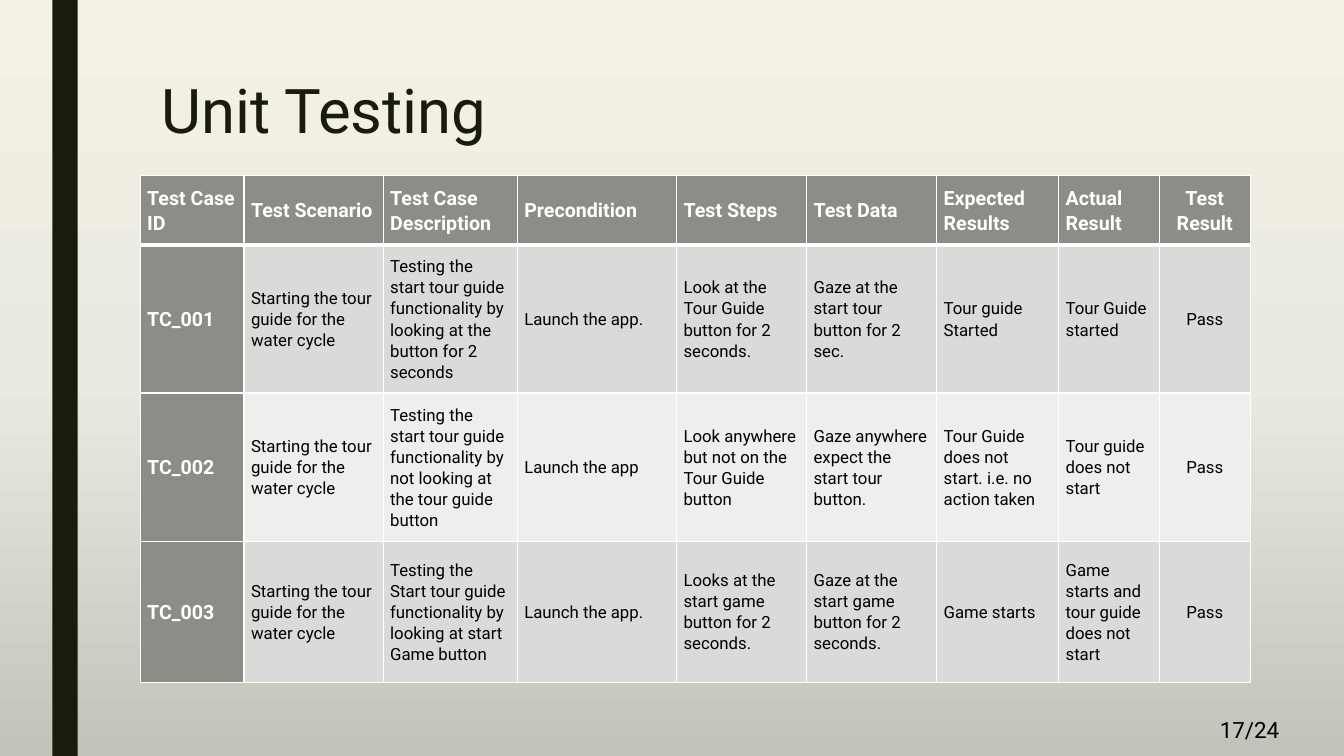
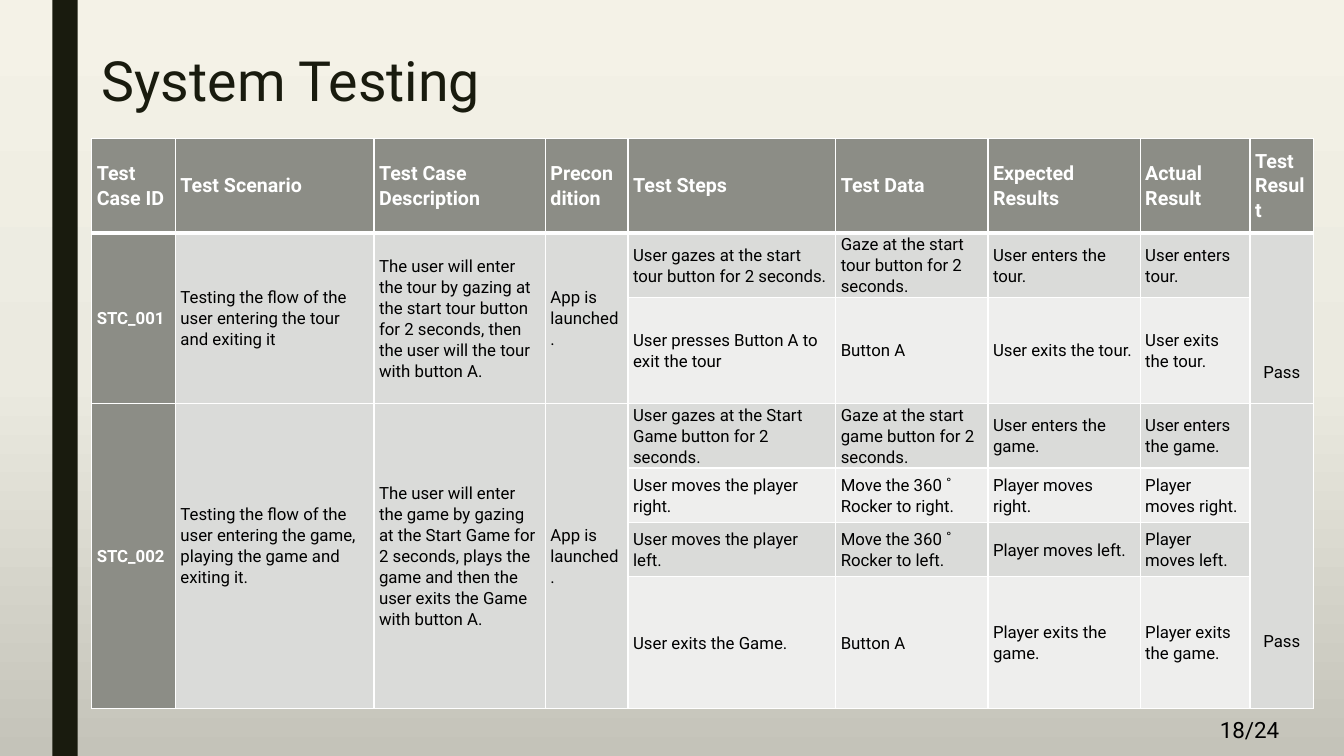
from dataclasses import dataclass

from lxml.etree import SubElement
from pptx import Presentation
from pptx.dml.color import RGBColor
from pptx.enum.shapes import MSO_SHAPE
from pptx.enum.text import MSO_ANCHOR, MSO_AUTO_SIZE, PP_ALIGN
from pptx.oxml.ns import qn
from pptx.presentation import Presentation as Deck
from pptx.slide import Slide
from pptx.table import Table, _Cell as Cell
from pptx.text.text import TextFrame
from pptx.util import Inches, Pt


@dataclass(frozen=True)
class Theme:
    """Colours, font and type sizes shared by the slides."""
    font: str = "Roboto"
    ink: str = "191B0E"
    black: str = "000000"
    white: str = "FFFFFF"
    head: str = "8C8D86"
    bands: tuple[str, str] = ("DADBD9", "EEEEED")
    backdrop: tuple[tuple[int, str], ...] = (
        (0, "F4F2E7"), (50, "EBEAE0"), (100, "C4C3B9"))
    head_size: float = 14
    body_size: float = 12
    page_size: float = 16
    title_spacing: float = 0.89
    cell_spacing: float = 1.07
    thin: float = 1
    thick: float = 3


THEME = Theme()
TITLE_ONLY = 5
RESULT_COLUMN = 8
FIRST_STEP_COLUMN = 4
HEADINGS = ("Test Case ID", "Test Scenario", "Test Case Description",
            "Precondition", "Test Steps", "Test Data", "Expected Results",
            "Actual Result", "Test\nResult")


@dataclass(frozen=True)
class TestCase:
    """One test case; each step holds action, data, expected and actual result."""
    name: str
    scenario: str
    description: str
    precondition: str
    steps: tuple[tuple[str, str, str, str], ...]
    scenario_lift: float = 0
    result_lift: float | None = None


@dataclass(frozen=True)
class TestSheet:
    """One slide: a title, a page number and a table of test cases."""
    title: str
    title_box: tuple[float, float, float, float]
    title_size: float
    page_number: str
    corner: tuple[float, float]
    columns: tuple[float, ...]
    rows: tuple[float, ...]
    inset: float
    name_size: float
    result_heading_align: PP_ALIGN
    cases: tuple[TestCase, ...]


def format_text(frame: TextFrame, size: float, color: str, bold: bool = False,
                align: PP_ALIGN = PP_ALIGN.LEFT, spacing: float = 1.0) -> None:
    """Give every paragraph of a text frame the same look."""
    for paragraph in frame.paragraphs:
        paragraph.alignment = align
        paragraph.line_spacing = spacing
        font = paragraph.font
        font.name, font.size, font.bold = THEME.font, Pt(size), bold
        font.color.rgb = RGBColor.from_string(color)


def set_backdrop(deck: Deck) -> None:
    """Put the vertical gradient on the slide master."""
    fill = deck.slide_master.background.fill
    fill.gradient()
    fill.gradient_angle = 270
    stops = deck.slide_master.element.find(".//" + qn("a:gsLst"))
    for stop in list(stops):
        stops.remove(stop)
    for percent, color in THEME.backdrop:
        stop = SubElement(stops, qn("a:gs"), pos=str(percent * 1000))
        SubElement(stop, qn("a:srgbClr"), val=color)


def add_frame(page: Slide, sheet: TestSheet) -> None:
    """Draw the side band, the page number and the title."""
    band = page.shapes.add_shape(MSO_SHAPE.RECTANGLE, Inches(0.52), 0,
                                 Inches(0.25), Inches(7.5))
    band.shadow.inherit = False
    band.fill.solid()
    band.fill.fore_color.rgb = RGBColor.from_string(THEME.ink)
    band.line.fill.background()

    number = page.shapes.add_textbox(Inches(12), Inches(7.06), Inches(0.96), Inches(0.37))
    number.text_frame.text = sheet.page_number
    number.text_frame.word_wrap = True
    number.text_frame.auto_size = MSO_AUTO_SIZE.SHAPE_TO_FIT_TEXT
    format_text(number.text_frame, THEME.page_size, THEME.black)

    title = page.shapes.title
    title.left, title.top, title.width, title.height = map(Inches, sheet.title_box)
    frame = title.text_frame
    frame.text = sheet.title
    frame.auto_size = MSO_AUTO_SIZE.NONE
    frame.vertical_anchor = MSO_ANCHOR.TOP
    format_text(frame, sheet.title_size, THEME.ink, spacing=THEME.title_spacing)


def style_cell(cell: Cell, row: int, fill: str, inset: float) -> None:
    """Set borders, fill, margins and anchor of a cell."""
    top = THEME.thick if row == 1 else THEME.thin
    bottom = THEME.thick if row == 0 else THEME.thin
    properties = cell._tc.get_or_add_tcPr()
    for side, width in (("L", THEME.thin), ("R", THEME.thin), ("T", top), ("B", bottom)):
        line = SubElement(properties, qn(f"a:ln{side}"), w=str(Pt(width)))
        SubElement(SubElement(line, qn("a:solidFill")), qn("a:srgbClr"), val=THEME.white)
    cell.fill.solid()
    cell.fill.fore_color.rgb = RGBColor.from_string(fill)
    cell.margin_left = cell.margin_right = Inches(inset)
    cell.margin_top = cell.margin_bottom = 0
    cell.vertical_anchor = MSO_ANCHOR.MIDDLE


def write_cell(cell: Cell, text: str, size: float = THEME.body_size,
               color: str = THEME.black, bold: bool = False,
               align: PP_ALIGN = PP_ALIGN.LEFT) -> None:
    """Write formatted text into a cell."""
    cell.text_frame.text = text
    format_text(cell.text_frame, size, color, bold, align, THEME.cell_spacing)


def fill_case(table: Table, case: TestCase, first: int, name_size: float) -> None:
    """Write a test case from the given row on, one row per step."""
    last = first + len(case.steps) - 1
    shared = (0, 1, 2, 3, RESULT_COLUMN)
    if last > first:
        for column in shared:
            table.cell(first, column).merge(table.cell(last, column))
    write_cell(table.cell(first, 0), case.name, name_size, THEME.white, True)
    for column, text in enumerate((case.scenario, case.description, case.precondition), 1):
        write_cell(table.cell(first, column), text)
    table.cell(first, 1).margin_bottom = Inches(case.scenario_lift)
    for row, step in enumerate(case.steps, first):
        for column, text in enumerate(step, FIRST_STEP_COLUMN):
            write_cell(table.cell(row, column), text)
    result = table.cell(first, RESULT_COLUMN)
    write_cell(result, "Pass", align=PP_ALIGN.CENTER)
    if case.result_lift is not None:
        result.vertical_anchor = MSO_ANCHOR.BOTTOM
        result.margin_bottom = Inches(case.result_lift)


def add_test_table(page: Slide, sheet: TestSheet) -> None:
    """Draw the table of test cases."""
    left, top = map(Inches, sheet.corner)
    table = page.shapes.add_table(
        len(sheet.rows), len(sheet.columns), left, top,
        Inches(sum(sheet.columns)), Inches(sum(sheet.rows))).table
    table.first_row = table.horz_banding = False
    for column, width in zip(table.columns, sheet.columns):
        column.width = Inches(width)
    for row, height in enumerate(sheet.rows):
        table.rows[row].height = Inches(height)
        for column in range(len(sheet.columns)):
            is_head = row == 0 or column == 0
            fill = THEME.head if is_head else THEME.bands[(row - 1) % 2]
            style_cell(table.cell(row, column), row, fill, sheet.inset)
    for column, heading in enumerate(HEADINGS):
        align = sheet.result_heading_align if column == RESULT_COLUMN else PP_ALIGN.LEFT
        write_cell(table.cell(0, column), heading, THEME.head_size, THEME.white, True, align)
    row = 1
    for case in sheet.cases:
        fill_case(table, case, row, sheet.name_size)
        row += len(case.steps)


TOUR_SCENARIO = "Starting the tour guide for the water cycle"

UNIT_TESTING = TestSheet(
    title="Unit Testing", title_box=(1.5, 0.75, 10.5, 1.62), title_size=44,
    page_number="17/24", corner=(1.39, 1.74),
    columns=(1.03, 1.38, 1.33, 1.58, 1.29, 1.29, 1.21, 1, 0.9),
    rows=(0.69, 1.47, 1.47, 1.4), inset=0.07, name_size=14,
    result_heading_align=PP_ALIGN.CENTER,
    cases=(
        TestCase("TC_001", TOUR_SCENARIO,
                 "Testing the start tour guide functionality by looking at the "
                 "button for 2 seconds", "Launch the app.",
                 (("Look at the Tour Guide button for 2 seconds.",
                   "Gaze at the start tour button for 2 sec.",
                   "Tour guide Started", "Tour Guide started"),)),
        TestCase("TC_002", TOUR_SCENARIO,
                 "Testing the start tour guide functionality by not looking at "
                 "the tour guide button", "Launch the app",
                 (("Look anywhere but not on the Tour Guide button",
                   "Gaze anywhere expect the start tour button.",
                   "Tour Guide does not start. i.e. no action taken",
                   "Tour guide does not start"),)),
        TestCase("TC_003", TOUR_SCENARIO,
                 "Testing the Start tour guide functionality by looking at "
                 "start Game button", "Launch the app.",
                 (("Looks at the start game button for 2 seconds.",
                   "Gaze at the start game button for 2 seconds.",
                   "Game starts", "Game starts and tour guide does not start"),)),
    ))

SYSTEM_TESTING = TestSheet(
    title="System Testing", title_box=(0.91, 0.49, 10.5, 0.72), title_size=39.6,
    page_number="18/24", corner=(0.91, 1.37),
    columns=(0.83, 1.97, 1.7, 0.82, 2.06, 1.51, 1.51, 1.09, 0.63),
    rows=(0.94, 0.62, 1.05, 0.62, 0.54, 0.54, 1.31), inset=0.05, name_size=12,
    result_heading_align=PP_ALIGN.LEFT,
    cases=(
        TestCase("STC_001", "Testing the flow of the user entering the tour and exiting it",
                 "The user will enter the tour by gazing at the start tour button "
                 "for 2 seconds, then the user will the tour with button A.",
                 "App is launched.",
                 (("User gazes at the start tour button for 2 seconds.",
                   "Gaze at the start tour button for 2 seconds.",
                   "User enters the tour.", "User enters tour."),
                  ("User presses Button A to exit the tour", "Button A",
                   "User exits the tour.", "User exits the tour.")),
                 result_lift=0.21),
        TestCase("STC_002",
                 "Testing the flow of the user entering the game, playing the game "
                 "and exiting it.",
                 "The user will enter the game by gazing at the Start Game for 2 "
                 "seconds, plays the game and then the user exits the Game with button A.",
                 "App is launched.",
                 (("User gazes at the Start Game button for 2 seconds.",
                   "Gaze at the start game button for 2 seconds.",
                   "User enters the game.", "User enters the game."),
                  ("User moves the player right.", "Move the 360 ˚ Rocker to right.",
                   "Player moves right.", "Player moves right."),
                  ("User moves the player left.", "Move the 360 ˚ Rocker to left.",
                   "Player moves left.", "Player moves left."),
                  ("User exits the Game.", "Button A",
                   "Player exits the game.", "Player exits the game.")),
                 scenario_lift=0.21, result_lift=0.57),
    ))


def main() -> None:
    """Build and save the deck."""
    deck = Presentation()
    deck.slide_width, deck.slide_height = Inches(13.33), Inches(7.5)
    set_backdrop(deck)
    for sheet in (UNIT_TESTING, SYSTEM_TESTING):
        page = deck.slides.add_slide(deck.slide_layouts[TITLE_ONLY])
        add_frame(page, sheet)
        add_test_table(page, sheet)
    deck.save("out.pptx")


main()
